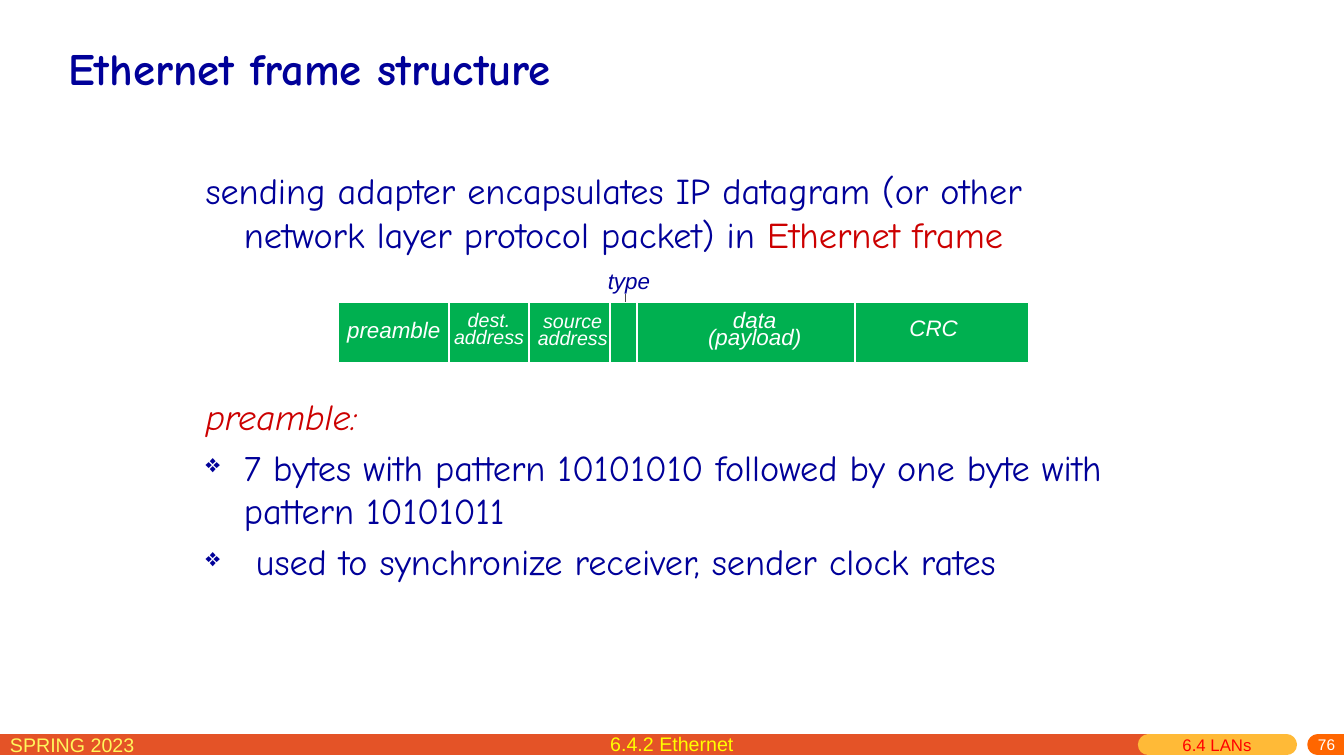
from lxml import etree
from pptx import Presentation
from pptx import util as u
from pptx.dml.color import RGBColor
from pptx.enum import shapes, text
from pptx.oxml.ns import qn

NAVY, RED, WHITE, GREEN = "000099", "CC0000", "FFFFFF", "00B050"
LEFT, CENTER, RIGHT = text.PP_ALIGN.LEFT, text.PP_ALIGN.CENTER, text.PP_ALIGN.RIGHT
TOP, MIDDLE = text.MSO_ANCHOR.TOP, text.MSO_ANCHOR.MIDDLE
HEAD_FONT, LABEL_FONT = "Comic Neue", "Arial"

FOOTER_Y = 7.39
FOOTER_BARS = [(-0.18, 11.39, "E45327"), (11.39, 12.76, "FFBA37"), (13.07, 13.6, "FF6600")]
CAPTIONS = [
    ("SPRING 2023", (0, 7.22, 2.29, 0.31), 14, "FFF65C", LEFT),
    ("6.4 LANs", (11.63, 7.24, 1.1, 0.31), 12, "FF0000", LEFT),
    ("6.4.2 Ethernet", (2.65, 7.21, 8.03, 0.34), 14, "FFFF00", CENTER),
]
PAGE = ("76", (10.75, 7.32, 2.59, 0.18))
TITLE = ("Ethernet frame structure", (0.58, 0.28, 12.18, 0.79))

INTRO = [([("sending adapter encapsulates IP datagram (or other network layer protocol packet) in ", NAVY, False),
           ("Ethernet frame", RED, False)], False)]
PREAMBLE = [
    ([("preamble:", RED, True)], False),
    ([("7 bytes with pattern 10101010 followed by one byte with pattern 10101011", NAVY, False)], True),
    ([(" used to synchronize receiver, sender clock rates", NAVY, False)], True),
]
BODY_PARTS = [(INTRO, 1.62, 1.1), (PREAMBLE, 3.86, 2.5)]
BODY_X, BODY_W, INDENT = 1.94, 9.21, 0.38

FRAME = (3.36, 3, 6.84, 0.6)
DIVIDERS = [(4.45, 2.99, 3.59), (5.25, 2.99, 3.63), (6.05, 3, 3.6), (6.32, 2.99, 3.63), (8.48, 3, 3.68)]
FIELDS = [
    (["dest.", "address"], (4.39, 3.07, 0.92, 0.45), 14),
    (["source", "address"], (5.22, 3.08, 0.92, 0.45), 14),
    (["data (payload)"], (6.73, 3.09, 1.51, 0.45), 16),
    (["CRC"], (8.79, 3.17, 0.94, 0.27), 16),
    (["preamble"], (3.32, 3.19, 1.17, 0.27), 16),
]
TYPE_LABEL = ("type", (5.93, 2.6, 0.84, 0.37))
TYPE_TICK = (6.2, 2.92, 3.14)

deck = Presentation()
deck.slide_width, deck.slide_height = u.Inches(13.33), u.Inches(7.5)
slide = deck.slides.add_slide(deck.slide_layouts[6])


def color(code):
    return RGBColor.from_string(code)


def inches(box):
    return [u.Inches(n) for n in box]


def add_line(x1, y1, x2, y2, code, width, rounded=False):
    line = slide.shapes.add_connector(shapes.MSO_CONNECTOR.STRAIGHT, *inches((x1, y1, x2, y2)))
    line.line.color.rgb = color(code)
    line.line.width = u.Pt(width)
    if rounded:
        line.line._get_or_add_ln().set("cap", "rnd")
    etree.SubElement(line._element.spPr, qn("a:effectLst"))


def style(run, size, code, font=LABEL_FONT, italic=False, bold=False):
    run.font.size, run.font.name = u.Pt(size), font
    run.font.italic, run.font.bold = italic, bold
    run.font.color.rgb = color(code)


def add_frame(box, anchor=TOP):
    frame = slide.shapes.add_textbox(*inches(box)).text_frame
    frame.word_wrap = True
    frame.vertical_anchor = anchor
    return frame


def add_label(lines, box, size, code, align=LEFT, anchor=TOP, spacing=None, **look):
    frame = add_frame(box, anchor)
    frame.text = "\n".join(lines)
    for line in frame.paragraphs:
        line.alignment = align
        if spacing:
            line.line_spacing = u.Pt(spacing)
        style(line.runs[0], size, code, **look)
    return frame


def add_body(paragraphs, top, height):
    frame = add_frame((BODY_X, top, BODY_W, height))
    for i, (pieces, bulleted) in enumerate(paragraphs):
        line = frame.add_paragraph() if i else frame.paragraphs[0]
        line.space_before = u.Pt(5.2 if i else 0)
        props = line._p.get_or_add_pPr()
        props.set("marL", str(u.Inches(INDENT)))
        props.set("indent", str(-u.Inches(INDENT)))
        if bulleted:
            etree.SubElement(props, qn("a:buSzPct"), val="70000")
            etree.SubElement(props, qn("a:buChar"), char="❖")
        else:
            etree.SubElement(props, qn("a:buNone"))
        for words, code, italic in pieces:
            run = line.add_run()
            run.text = words
            style(run, 25.9, code, HEAD_FONT, italic)


for start, end, code in FOOTER_BARS:
    add_line(start, FOOTER_Y, end, FOOTER_Y, code, 15, rounded=True)
for words, box, size, code, align in CAPTIONS:
    add_label([words], box, size, code, align)
page = add_label([PAGE[0]], PAGE[1], 11, WHITE, RIGHT, MIDDLE)
page.margin_top, page.margin_bottom = 0, u.Inches(0.05)

add_label([TITLE[0]], TITLE[1], 32, NAVY, anchor=MIDDLE, font=HEAD_FONT, bold=True)
for paragraphs, top, height in BODY_PARTS:
    add_body(paragraphs, top, height)

tick_x, tick_top, tick_bottom = TYPE_TICK
add_line(tick_x, tick_top, tick_x, tick_bottom, "4C4C4C", 0.75)
packet = slide.shapes.add_shape(shapes.MSO_SHAPE.RECTANGLE, *inches(FRAME))
packet.shadow.inherit = False
packet.fill.solid()
packet.fill.fore_color.rgb = color(GREEN)
packet.line.color.rgb = color(WHITE)
packet.line.width = u.Pt(0.75)
for x, top, bottom in DIVIDERS:
    add_line(x, top, x, bottom, WHITE, 1.5)
for lines, box, size in FIELDS:
    add_label(lines, box, size, WHITE, CENTER, spacing=12, italic=True)
add_label([TYPE_LABEL[0]], TYPE_LABEL[1], 16, NAVY, italic=True)

deck.save("out.pptx")
